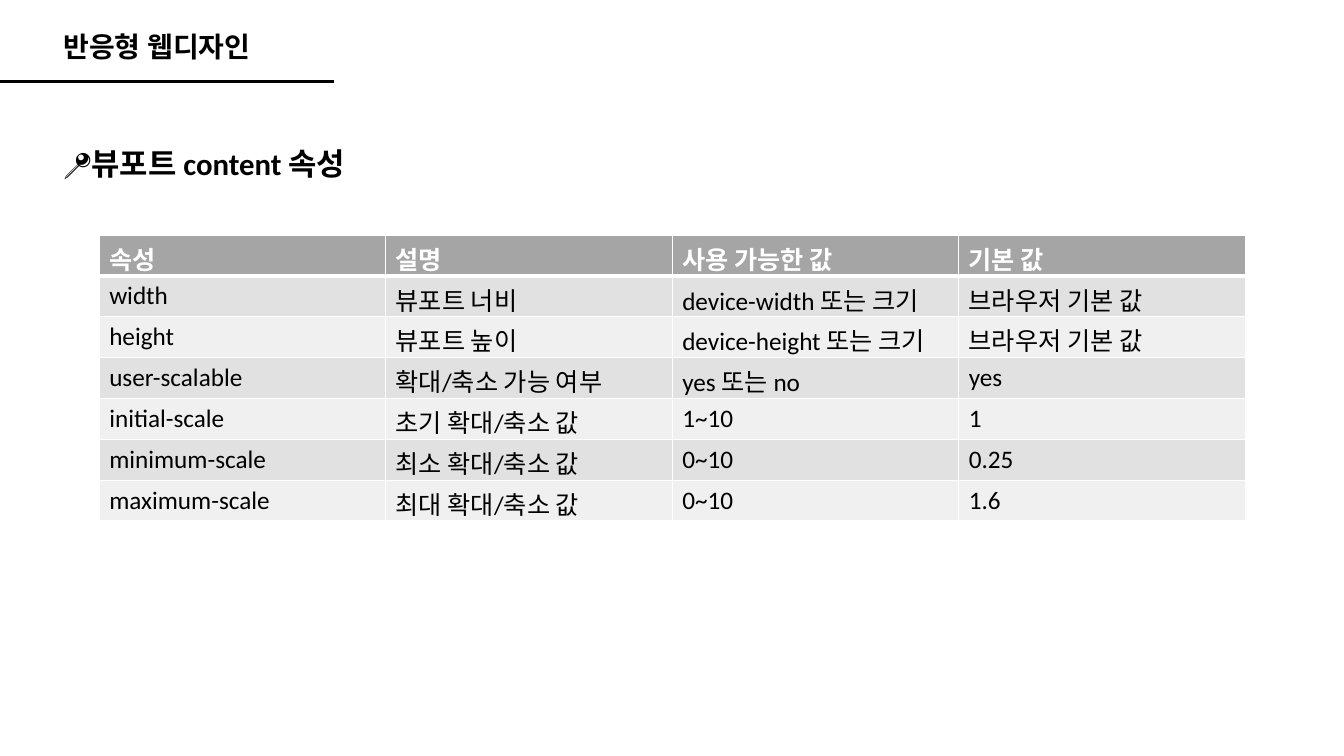
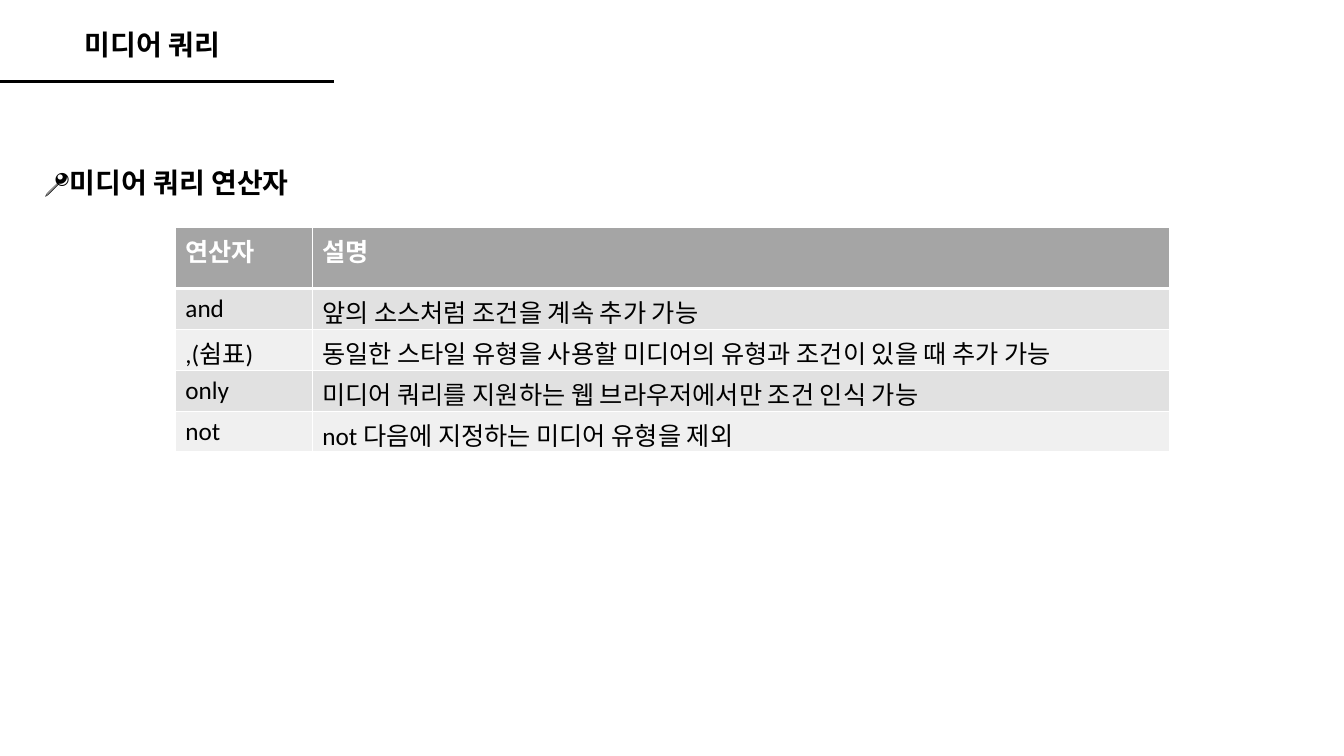
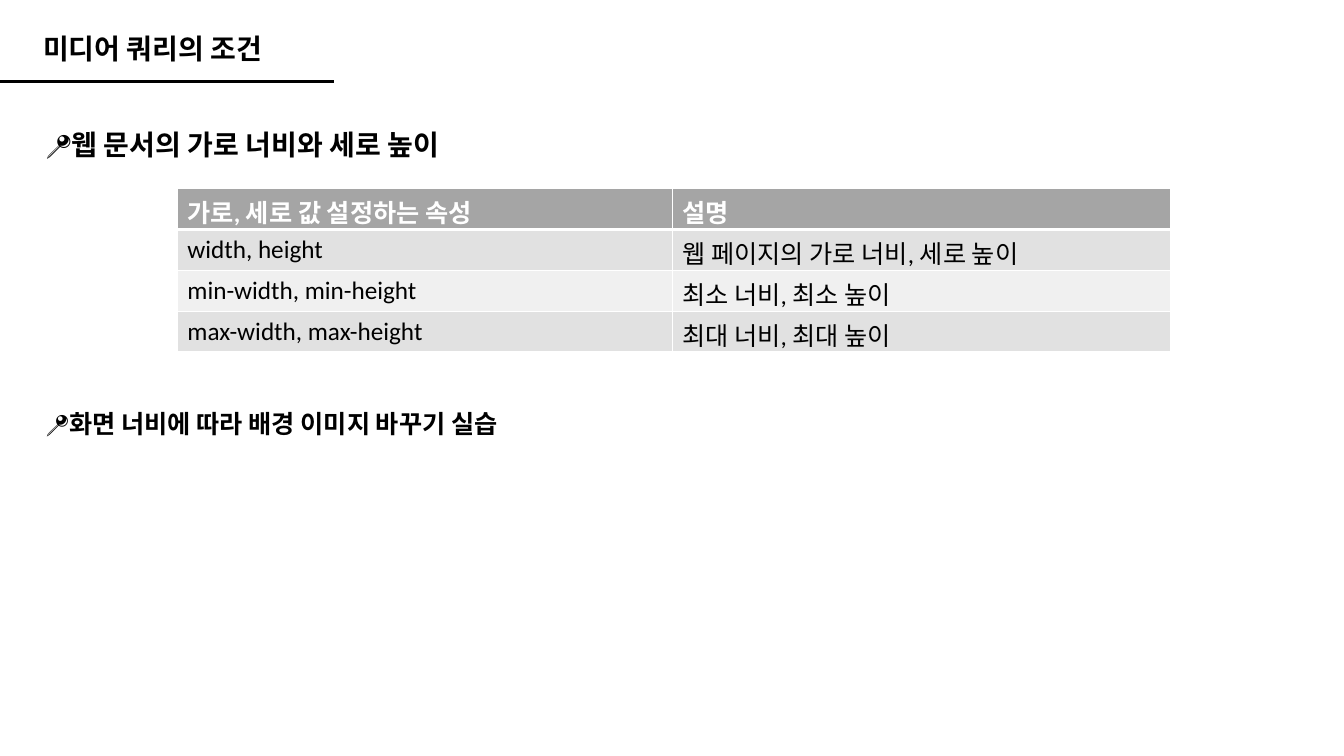
import pptx
import pptx.util
import pptx.dml.color
import pptx.enum.shapes
import pptx.oxml
import pptx.oxml.ns

Cm = pptx.util.Cm
Pt = pptx.util.Pt
BLACK, WHITE, HEAD = "000000", "FFFFFF", "A5A5A5"
BANDS = ("E1E1E1", "F0F0F0")
ROW = 1.03
PIN = "\U0001F4CD"


def tint(code):
    """Turn a hex string into a colour."""
    return pptx.dml.color.RGBColor.from_string(code)


def write(frame, text, size=18, font="Calibri", color=BLACK, bold=False):
    """Put one formatted line of text in a frame."""
    frame.word_wrap = True
    run = frame.paragraphs[0].add_run()
    run.text = text
    run.font.size = Pt(size)
    run.font.name = font
    run.font.bold = bold
    run.font.color.rgb = tint(color)


def label(slide, box, text, **style):
    """Add a bold text box at left, top, width, height."""
    frame = slide.shapes.add_textbox(*map(Cm, box)).text_frame
    write(frame, text, bold=True, **style)


def topic(slide, box, text, size=20):
    """Add a heading that starts with a pin."""
    label(slide, box, PIN + text, size=size)


def edge(cell, side, width):
    """Draw a white border on one side of a cell."""
    line = pptx.oxml.parse_xml(
        f'<a:ln{side} {pptx.oxml.ns.nsdecls("a")} w="{Pt(width)}">'
        f'<a:solidFill><a:srgbClr val="{WHITE}"/></a:solidFill></a:ln{side}>')
    cell._tc.get_or_add_tcPr().append(line)


def grid(slide, left, top, widths, rows, first=ROW):
    """Add a table with a grey header and banded rows."""
    highs = [first] + [ROW] * (len(rows) - 1)
    box = (left, top, sum(widths), sum(highs))
    table = slide.shapes.add_table(len(rows), len(widths), *map(Cm, box)).table
    for col, width in zip(table.columns, widths):
        col.width = Cm(width)
    for r, texts in enumerate(rows):
        table.rows[r].height = Cm(highs[r])
        top_row = r == 0
        for c, text in enumerate(texts):
            cell = table.cell(r, c)
            for side in "LRTB":
                thick = (r, side) in ((0, "B"), (1, "T"))
                edge(cell, side, 3 if thick else 1)
            cell.fill.solid()
            cell.fill.fore_color.rgb = tint(HEAD if top_row else BANDS[(r - 1) % 2])
            write(cell.text_frame, text, bold=top_row,
                  color=WHITE if top_row else BLACK)


def page(deck, title, left, top, width):
    """Add a slide with its title and the rule below it."""
    slide = deck.slides.add_slide(deck.slide_layouts[6])
    rule = slide.shapes.add_connector(
        pptx.enum.shapes.MSO_CONNECTOR.STRAIGHT, 0, Cm(2.06), Cm(8.41), Cm(2.06))
    rule.line.color.rgb = tint(BLACK)
    rule.line.width = Pt(2.25)
    props = rule._element.spPr
    props.append(props.makeelement(pptx.oxml.ns.qn("a:effectLst"), {}))
    label(slide, (left, top, width, 1.11), title, size=20, font="Arial")
    return slide


def view(deck):
    """Build the slide on viewport attributes."""
    slide = page(deck, "반응형 웹디자인", 1.35, 0.61, 5.72)
    topic(slide, (1.35, 3.53, 32.23, 1.96), "뷰포트 content 속성", size=22)
    grid(slide, 2.5, 5.92, [7.22] * 4, [
        ("속성", "설명", "사용 가능한 값", "기본 값"),
        ("width", "뷰포트 너비", "device-width 또는 크기", "브라우저 기본 값"),
        ("height", "뷰포트 높이", "device-height 또는 크기", "브라우저 기본 값"),
        ("user-scalable", "확대/축소 가능 여부", "yes 또는 no", "yes"),
        ("initial-scale", "초기 확대/축소 값", "1~10", "1"),
        ("minimum-scale", "최소 확대/축소 값", "0~10", "0.25"),
        ("maximum-scale", "최대 확대/축소 값", "0~10", "1.6"),
    ])


def query(deck):
    """Build the slide on media query operators."""
    slide = page(deck, "미디어 쿼리", 1.88, 0.56, 4.62)
    topic(slide, (0.86, 4.04, 32.13, 1.11), "미디어 쿼리 연산자")
    grid(slide, 4.42, 5.72, [3.45, 21.6], [
        ("연산자", "설명"),
        ("and", "앞의 소스처럼 조건을 계속 추가 가능"),
        (",(쉼표)", "동일한 스타일 유형을 사용할 미디어의 유형과 조건이 있을 때 추가 가능"),
        ("only", "미디어 쿼리를 지원하는 웹 브라우저에서만 조건 인식 가능"),
        ("not", "not 다음에 지정하는 미디어 유형을 제외"),
    ], first=1.55)


def terms(deck):
    """Build the slide on media query conditions."""
    slide = page(deck, "미디어 쿼리의 조건", 0.84, 0.66, 7.26)
    topic(slide, (0.91, 3.1, 32.13, 1.11), "웹 문서의 가로 너비와 세로 높이")
    grid(slide, 4.47, 4.75, [12.47, 12.57], [
        ("가로, 세로 값 설정하는 속성", "설명"),
        ("width, height", "웹 페이지의 가로 너비, 세로 높이"),
        ("min-width, min-height", "최소 너비, 최소 높이"),
        ("max-width, max-height", "최대 너비, 최대 높이"),
    ])
    topic(slide, (0.91, 10.16, 14.43, 1.02),
          "화면 너비에 따라 배경 이미지 바꾸기 실습", size=18)


deck = pptx.Presentation()
deck.slide_width, deck.slide_height = Cm(33.87), Cm(19.05)
for build in (view, query, terms):
    build(deck)
deck.save("out.pptx")
